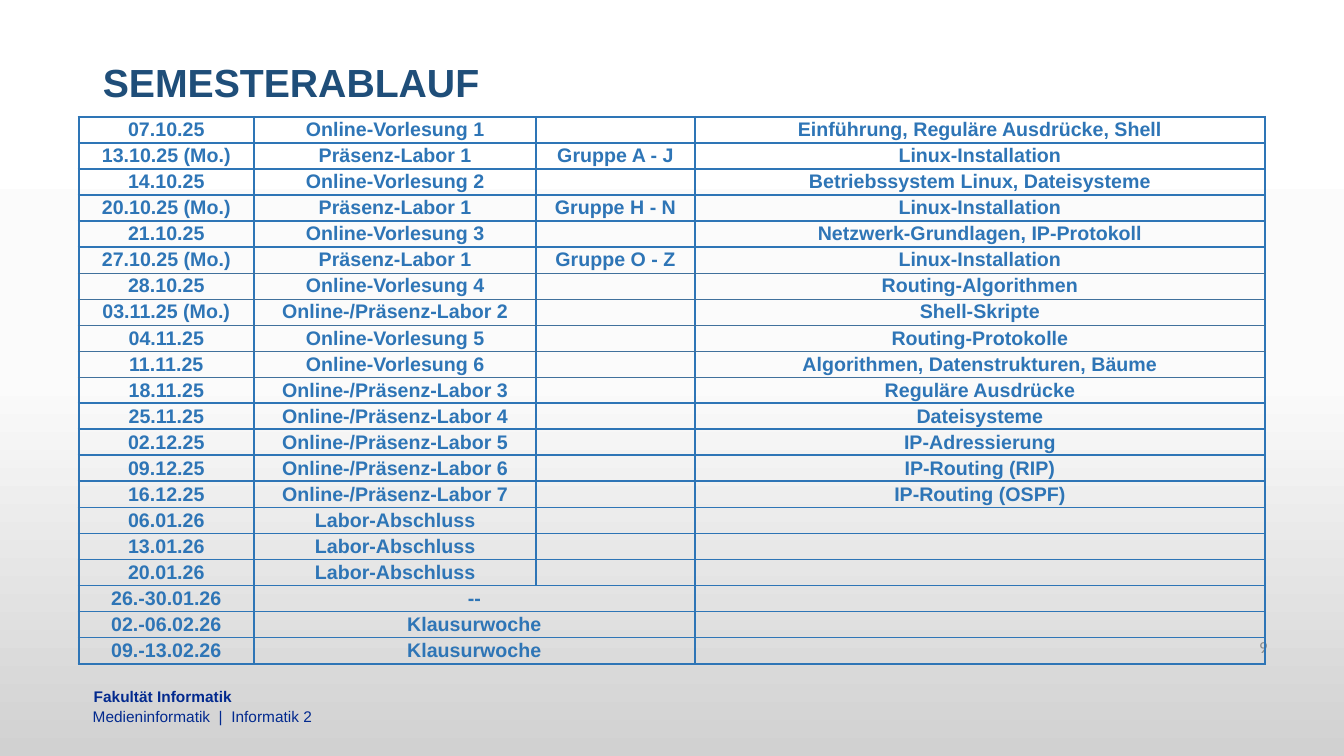
from copy import deepcopy
from dataclasses import dataclass

from lxml import etree
from pptx import Presentation
from pptx.dml.color import RGBColor
from pptx.enum import text
from pptx.oxml import ns
from pptx.util import Inches, Pt


@dataclass(frozen=True)
class Theme:
    font: str = "Arial"
    number_font: str = "Calibri"
    title: str = "1F4E79"
    table: str = "2E75B6"
    thin_line: str = "41719C"
    footer: str = "02298E"
    number: str = "8C8C8C"
    title_size: int = 28
    table_size: int = 14
    number_size: int = 12
    footer_size: int = 11
    background: tuple = ((0, "FFFFFF"), (0.5, "FBFBFB"), (1, "D1D1D1"))


T = Theme()
LEFT, CENTER, RIGHT = (text.PP_ALIGN.LEFT, text.PP_ALIGN.CENTER,
                       text.PP_ALIGN.RIGHT)
MIDDLE = text.MSO_ANCHOR.MIDDLE

COLUMN_WIDTHS = (1.74, 2.8, 1.57, 5.66)
THIN_RULES = range(6, 11)  # rules above these rows are thin
SCHEDULE = [
    ("07.10.25", "Online-Vorlesung 1", "", "Einführung, Reguläre Ausdrücke, Shell"),
    ("13.10.25 (Mo.)", "Präsenz-Labor 1", "Gruppe A - J", "Linux-Installation"),
    ("14.10.25", "Online-Vorlesung 2", "", "Betriebssystem Linux, Dateisysteme"),
    ("20.10.25 (Mo.)", "Präsenz-Labor 1", "Gruppe H - N", "Linux-Installation"),
    ("21.10.25", "Online-Vorlesung 3", "", "Netzwerk-Grundlagen, IP-Protokoll"),
    ("27.10.25 (Mo.)", "Präsenz-Labor 1", "Gruppe O - Z", "Linux-Installation"),
    ("28.10.25", "Online-Vorlesung 4", "", "Routing-Algorithmen"),
    ("03.11.25 (Mo.)", "Online-/Präsenz-Labor 2", "", "Shell-Skripte"),
    ("04.11.25", "Online-Vorlesung 5", "", "Routing-Protokolle"),
    ("11.11.25", "Online-Vorlesung 6", "", "Algorithmen, Datenstrukturen, Bäume"),
    ("18.11.25", "Online-/Präsenz-Labor 3", "", "Reguläre Ausdrücke"),
    ("25.11.25", "Online-/Präsenz-Labor 4", "", "Dateisysteme"),
    ("02.12.25", "Online-/Präsenz-Labor 5", "", "IP-Adressierung"),
    ("09.12.25", "Online-/Präsenz-Labor 6", "", "IP-Routing (RIP)"),
    ("16.12.25", "Online-/Präsenz-Labor 7", "", "IP-Routing (OSPF)"),
    ("06.01.26", "Labor-Abschluss", "", ""),
    ("13.01.26", "Labor-Abschluss", "", ""),
    ("20.01.26", "Labor-Abschluss", "", ""),
    ("26.-30.01.26", "--", None, ""),
    ("02.-06.02.26", "Klausurwoche", None, ""),
    ("09.-13.02.26", "Klausurwoche", None, ""),
]


def write(tf, words, size, color, font=T.font, bold=False, align=LEFT):
    p = tf.paragraphs[0]
    p.alignment = align
    r = p.add_run()
    r.text = words
    for name, value in {"size": Pt(size), "name": font, "bold": bold}.items():
        setattr(r.font, name, value)
    r.font.color.rgb = RGBColor.from_string(color)


def add_text(s, box, words, inset=0, anchor=text.MSO_ANCHOR.TOP, **style):
    tf = s.shapes.add_textbox(*map(Inches, box)).text_frame
    frame = {"word_wrap": True, "vertical_anchor": anchor}
    frame |= {f"margin_{side}": Inches(inset)
              for side in ("left", "top", "right", "bottom")}
    for name, value in frame.items():
        setattr(tf, name, value)
    write(tf, words, **style)


def add_background(s):
    fill = s.background.fill
    fill.gradient()
    fill.gradient_angle = 270
    stops = s.element.find(".//" + ns.qn("a:gsLst"))
    stops.append(deepcopy(stops[-1]))
    for stop, (position, color) in zip(fill.gradient_stops, T.background):
        stop.position = position
        stop.color.rgb = RGBColor.from_string(color)


def add_title(s, box, words):
    sp = s.shapes.title
    for name, value in zip(("left", "top", "width", "height"), box):
        setattr(sp, name, Inches(value))
    sp.text_frame.vertical_anchor = MIDDLE
    write(sp.text_frame, words, T.title_size, T.title, bold=True)
    sp.text_frame.paragraphs[0].line_spacing = 0.9


def add_border(cell, side, color, width):
    tcPr = cell._tc.get_or_add_tcPr()
    line = etree.SubElement(tcPr, ns.qn("a:ln" + side), w=str(Pt(width)))
    fill = etree.SubElement(line, ns.qn("a:solidFill"))
    etree.SubElement(fill, ns.qn("a:srgbClr"), val=color)


def format_cell(cell, row):
    regular, thin = (T.table, 1.5), (T.thin_line, 0.75)
    add_border(cell, "L", *regular)
    add_border(cell, "R", *regular)
    add_border(cell, "T", *(thin if row in THIN_RULES else regular))
    add_border(cell, "B", *(thin if row + 1 in THIN_RULES else regular))
    cell.fill.background()
    for name, value in {"margin_left": 0.01, "margin_right": 0.01,
                        "margin_top": 0.01, "margin_bottom": 0.01}.items():
        setattr(cell, name, Inches(value))
    cell.vertical_anchor = MIDDLE


def add_schedule(s, box):
    table = s.shapes.add_table(len(SCHEDULE), len(COLUMN_WIDTHS),
                               *map(Inches, box)).table
    table.first_row = table.horz_banding = False
    for column, width in zip(table.columns, COLUMN_WIDTHS):
        column.width = Inches(width)
    for i, entries in enumerate(SCHEDULE):
        table.rows[i].height = Inches(box[3] / len(SCHEDULE))
        for j, words in enumerate(entries):
            cell = table.cell(i, j)
            format_cell(cell, i)
            if words:
                write(cell.text_frame, words, T.table_size, T.table,
                      bold=True, align=CENTER)
            else:  # keeps an empty cell from stretching its row
                etree.SubElement(cell.text_frame.paragraphs[0]._p,
                                 ns.qn("a:endParaRPr"),
                                 sz=str(T.table_size * 100))
            if words is None:
                table.cell(i, j - 1).merge(cell)


def add_footer(s, box):
    x, y, w, h = box
    style = {"size": T.footer_size, "color": T.footer}
    add_text(s, (x + 0.01, y, w, h / 2), "Fakultät Informatik", bold=True, **style)
    add_text(s, (x, y + h / 2, w, h / 2), "Medieninformatik\u00a0 |\u00a0 Informatik 2"
             .replace("\u00a0", " "), **style)


def main():
    prs = Presentation()
    prs.slide_width, prs.slide_height = Inches(13.33), Inches(7.5)
    s = prs.slides.add_slide(prs.slide_layouts[5])
    add_background(s)
    add_footer(s, (0.92, 6.82, 8.5, 0.4))
    add_title(s, (0.92, 0.35, 11.5, 0.98), "SEMESTERABLAUF")
    add_text(s, (9.56, 6.22, 3.11, 0.4), "9", inset=0.1, anchor=MIDDLE,
             size=T.number_size, color=T.number, font=T.number_font, align=RIGHT)
    add_schedule(s, (0.78, 1.16, 11.77, 5.43))
    prs.save("out.pptx")


if __name__ == "__main__":
    main()
